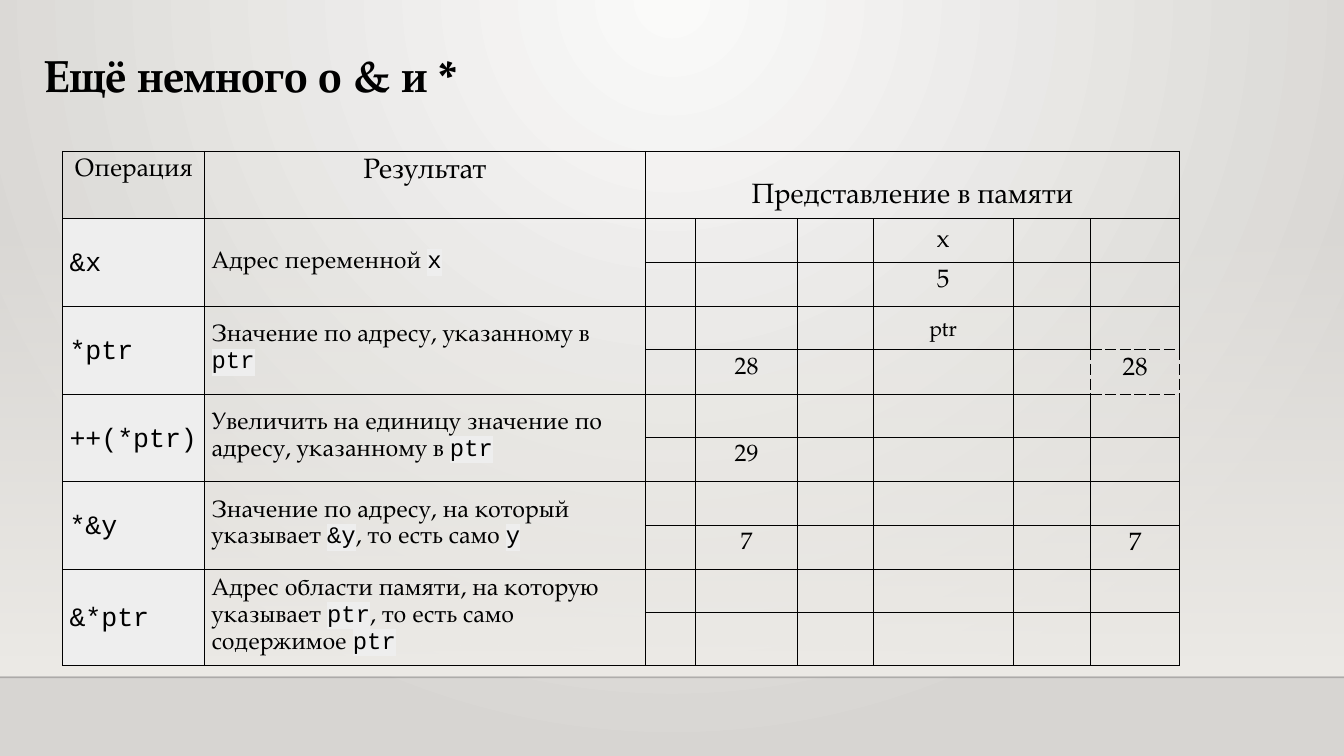
from lxml import etree
from pptx import Presentation
from pptx.dml.color import RGBColor
from pptx.enum.shapes import MSO_CONNECTOR, MSO_SHAPE
from pptx.enum.text import MSO_ANCHOR, MSO_AUTO_SIZE, PP_ALIGN
from pptx.oxml import parse_xml
from pptx.oxml.ns import nsdecls, qn
from pptx.util import Inches, Pt

RECT, STRAIGHT = MSO_SHAPE.RECTANGLE, MSO_CONNECTOR.STRAIGHT
TOP, MIDDLE, BOTTOM = MSO_ANCHOR.TOP, MSO_ANCHOR.MIDDLE, MSO_ANCHOR.BOTTOM
LEFT, CENTER = PP_ALIGN.LEFT, PP_ALIGN.CENTER
SERIF, MONO = "TeX Gyre Pagella", "Courier New"
COLORS = {"ink": "000000", "rule": "000001", "code": "EEEEEE",
          "light": "FAFAF9", "dark": "D7D5D2", "floor": "EDEBE7"}
W, H = 13.33, 7.5
PAD = 0.07

COLS = [1.41, 4.37, 0.5, 1.01, 0.75, 1.39, 0.77, 0.88]
ROWS = [0.67] + [0.43, 0.44] * 4 + [0.43, 0.52]
# Backticks mark code
OPERATIONS = [
    ("&x", "Адрес переменной `x`"),
    ("*ptr", "Значение по адресу, указанному в `ptr`"),
    ("++(*ptr)", "Увеличить на единицу значение по адресу, указанному в `ptr`"),
    ("*&y", "Значение по адресу, на который указывает `&y`, то есть само `y`"),
    ("&*ptr", "Адрес области памяти, на которую указывает `ptr`, "
              "то есть само содержимое `ptr`"),
]
# (row, column): (text, size, anchor)
MEMORY = {
    (1, 5): ("x", 18, BOTTOM), (2, 5): ("5", 18, TOP),
    (3, 5): ("ptr", 15, BOTTOM), (4, 3): ("28", 17, TOP), (4, 7): ("28", 18, TOP),
    (6, 3): ("29", 17, TOP), (8, 3): ("7", 17, TOP), (8, 7): ("7", 18, TOP),
}
# (row, column, side): (width, dash), both sides of each shared edge
DASHED = {
    **dict.fromkeys([(4, 7, "L"), (4, 7, "R"), (4, 7, "T"), (4, 6, "R"), (3, 7, "B")],
                    (1, "dash")),
    **dict.fromkeys([(4, 7, "B"), (5, 7, "T")], (0.75, "lgDash")),
}


def rgb(name):
    """Return a named colour."""
    return RGBColor.from_string(COLORS[name])


def set_alpha(parent, percent):
    """Make the first colour inside an element partly transparent."""
    color = next(parent.iter(qn("a:srgbClr")))
    etree.SubElement(color, qn("a:alpha")).set("val", str(percent * 1000))


def set_stops(fill, *names):
    """Give a fill a gradient between two named colours."""
    fill.gradient()
    for stop, name in zip(fill.gradient_stops, names):
        stop.color.rgb = rgb(name)


def add_backdrop(slide, top, horizon, floor):
    """Fill the background, fade in the wall and draw the floor line."""
    set_stops(slide.background.fill, "light", "dark")
    lin = next(slide.element.iter(qn("a:lin")))
    lin.getparent().replace(lin, parse_xml(
        f'<a:path {nsdecls("a")} path="circle">'
        '<a:fillToRect l="43000" t="0" r="43000" b="100000"/></a:path>'))

    sp = slide.shapes.add_shape(RECT, 0, Inches(top), Inches(W), Inches(horizon - top))
    sp.shadow.inherit = False
    sp.line.fill.background()
    set_stops(sp.fill, "floor", "floor")
    sp.fill.gradient_angle = 270
    set_alpha(sp.element.spPr, 0)

    line = slide.shapes.add_connector(STRAIGHT, 0, Inches(floor), Inches(W), Inches(floor))
    line.line.color.rgb = rgb("rule")
    line.line.width = Pt(1)
    set_alpha(line.element.spPr, 20)
    etree.SubElement(line.element.spPr, qn("a:effectLst"))


def add_title(slide, text, left, top, width, height):
    """Place and format the title placeholder."""
    sp = slide.shapes.title
    sp.left, sp.top, sp.width, sp.height = map(Inches, (left, top, width, height))
    tf = sp.text_frame
    tf.text = text
    tf.word_wrap, tf.auto_size, tf.vertical_anchor = True, MSO_AUTO_SIZE.NONE, TOP
    p = tf.paragraphs[0]
    p.alignment, p.line_spacing = LEFT, 0.9
    p.font.name, p.font.size, p.font.bold = SERIF, Pt(32), True
    p.font.color.rgb = rgb("ink")


def write(cell, text, size, anchor=TOP, align=CENTER, spacing=None):
    """Write text in a cell, setting the parts between backticks as code."""
    cell.margin_left = cell.margin_right = Inches(PAD)
    cell.margin_top = cell.margin_bottom = Inches(PAD)
    cell.vertical_anchor = anchor
    p = cell.text_frame.paragraphs[0]
    p.alignment, p.line_spacing = align, spacing
    for i, part in enumerate(text.split("`")):
        if not part:
            continue
        is_code = i % 2 == 1
        r = p.add_run()
        r.text = part
        r.font.size, r.font.name = Pt(size), MONO if is_code else SERIF
        r.font.color.rgb = rgb("ink")
        if is_code:
            r.font._element.find(qn("a:latin")).addprevious(parse_xml(
                f'<a:highlight {nsdecls("a")}><a:srgbClr val="{COLORS["code"]}"/>'
                '</a:highlight>'))


def set_borders(cell, row, col):
    """Draw the four edges of a cell."""
    tcPr = cell._tc.get_or_add_tcPr()
    for i, side in enumerate("LRTB"):
        width, dash = DASHED.get((row, col, side), (0.75, "solid"))
        tcPr.insert(i, parse_xml(
            f'<a:ln{side} {nsdecls("a")} w="{Pt(width)}"><a:solidFill>'
            f'<a:srgbClr val="{COLORS["ink"]}"/></a:solidFill>'
            f'<a:prstDash val="{dash}"/></a:ln{side}>'))


def add_memory_table(slide, left, top):
    """Build the table of operations, results and memory cells."""
    frame = slide.shapes.add_table(len(ROWS), len(COLS), Inches(left), Inches(top),
                                   Inches(sum(COLS)), Inches(sum(ROWS)))
    table = frame.table
    table.first_row = table.horz_banding = False
    for column, width in zip(table.columns, COLS):
        column.width = Inches(width)
    for row, height in zip(table.rows, ROWS):
        row.height = Inches(height)
    for cell in table.iter_cells():
        cell.fill.background()

    header = table.cell(0, 2)
    header.merge(table.cell(0, len(COLS) - 1))
    write(table.cell(0, 0), "Операция", 18)
    write(table.cell(0, 1), "Результат", 20)
    write(header, "Представление в памяти", 20)
    header.margin_top, header.margin_bottom = Inches(0.32), 0

    for i, (operation, result) in enumerate(OPERATIONS):
        row = 1 + 2 * i
        for col in (0, 1):
            table.cell(row, col).merge(table.cell(row + 1, col))
        name = table.cell(row, 0)
        name.fill.solid()
        name.fill.fore_color.rgb = rgb("code")
        write(name, f"`{operation}`", 19, MIDDLE, LEFT, 1.15)
        write(table.cell(row, 1), result, 17, MIDDLE, LEFT)
    for (row, col), (text, size, anchor) in MEMORY.items():
        write(table.cell(row, col), text, size, anchor)

    for row in range(len(ROWS)):
        for col in range(len(COLS)):
            cell = table.cell(row, col)
            if not cell.is_spanned:
                set_borders(cell, row, col)


def main():
    """Build and save the slide."""
    prs = Presentation()
    prs.slide_width, prs.slide_height = Inches(W), Inches(H)
    slide = prs.slides.add_slide(prs.slide_layouts[5])
    add_backdrop(slide, 2.2, 6.7, 6.72)
    add_title(slide, "Ещё немного о & и *", 0.34, 0.48, 12.65, 1.12)
    add_memory_table(slide, 0.62, 1.5)
    prs.save("out.pptx")


main()
